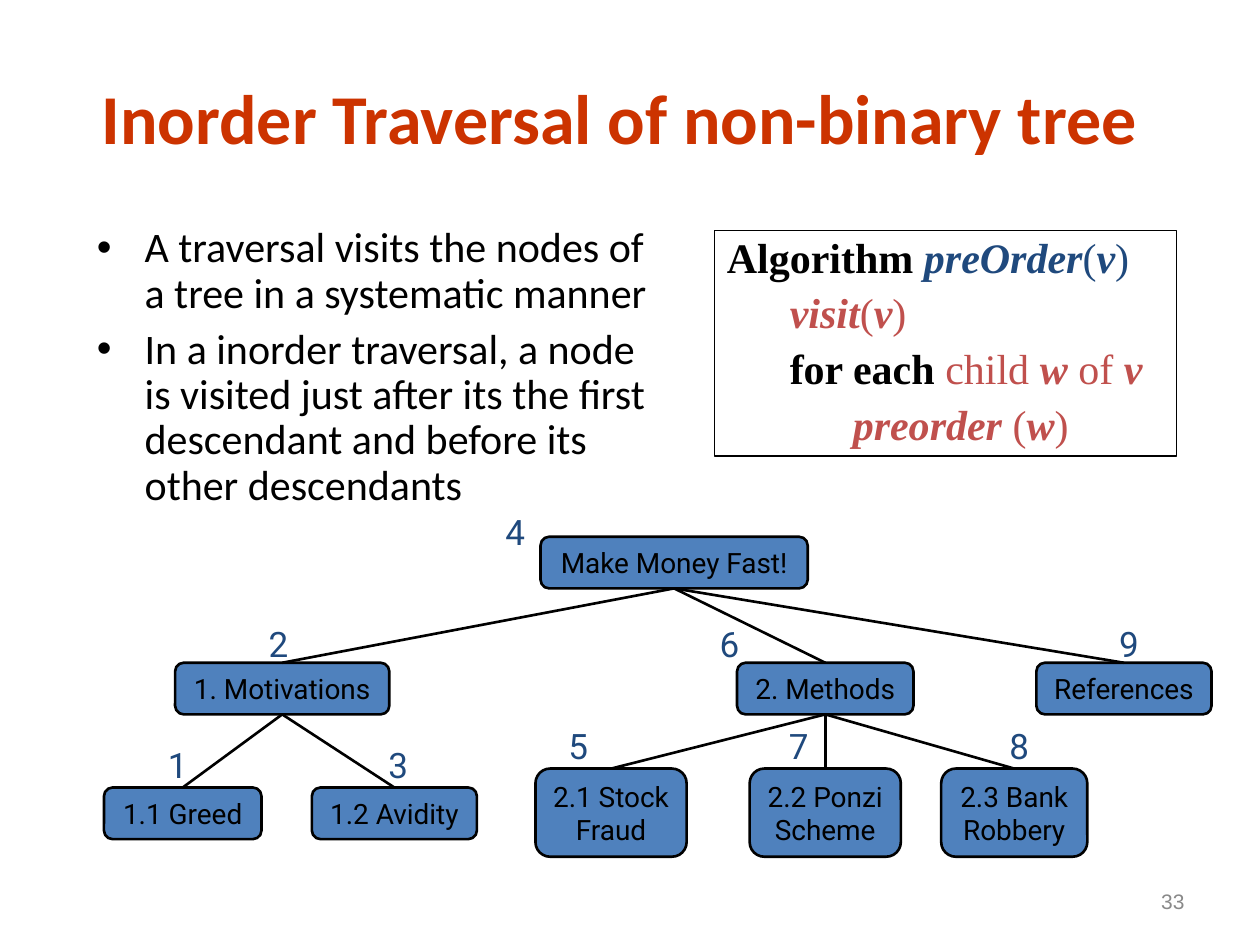
from dataclasses import dataclass
from typing import Optional

from lxml import etree
from pptx import Presentation
from pptx import util as u
from pptx.dml.color import RGBColor
from pptx.enum import shapes, text
from pptx.oxml import ns

BLACK = RGBColor(0x00, 0x00, 0x00)
TITLE_RED = RGBColor(0xCC, 0x33, 0x00)
NODE_BLUE = RGBColor(0x4F, 0x81, 0xBD)
NAVY = RGBColor(0x1F, 0x49, 0x7D)
CODE_RED = RGBColor(0xC0, 0x50, 0x4D)
GREY = RGBColor(0x89, 0x89, 0x89)

# The slide is a grid of 100 columns by 75 rows with square cells
CELL = u.Inches(0.1)
COLUMNS, ROWS = 100, 75


@dataclass(frozen=True)
class Style:
    font: str
    size: int
    color: RGBColor
    bold: bool = False
    italic: bool = False


@dataclass(frozen=True)
class Node:
    label: str
    center: float  # column
    top: float  # row
    width: float
    visit: str = ""  # place in the traversal
    visit_center: float = 0
    visit_top: float = 0
    parent: Optional[str] = None

    @property
    def height(self) -> float:
        return 7 if "\n" in self.label else 4.1


def cells(*counts: float) -> list:
    return [u.Emu(round(count * CELL)) for count in counts]


def code(color: RGBColor, bold: bool = False, italic: bool = False) -> Style:
    return Style("Times New Roman", 24, color, bold, italic)


TITLE = Style("Calibri", 40, TITLE_RED, bold=True)
BODY = Style("Calibri", 24, BLACK)
LABEL = Style("Roboto", 16, BLACK)
VISIT = Style("Roboto", 20, NAVY)
PAGE = Style("Arial", 12, GREY)
KEYWORD = code(BLACK, bold=True)
NAME, NAME_PLAIN = code(NAVY, True, True), code(NAVY)
CALL, CALL_PLAIN = code(CODE_RED, True, True), code(CODE_RED)

BULLETS = [
    "A traversal visits the nodes of a tree in a systematic manner",
    "In a inorder traversal, a node is visited just after its the first "
    "descendant and before its other descendants",
]

# Each line: indent in inches, then its runs
ALGORITHM = [
    (0, [("Algorithm ", KEYWORD), ("preOrder", NAME), ("(", NAME_PLAIN),
         ("v", NAME), (")", NAME_PLAIN)]),
    (0.5, [("visit", CALL), ("(", CALL_PLAIN), ("v", CALL), (")", CALL_PLAIN)]),
    (0.5, [("for each ", KEYWORD), ("child ", CALL_PLAIN), ("w", CALL),
           (" of ", CALL_PLAIN), ("v", CALL)]),
    (0.5, [("\tpreorder", CALL), (" (", CALL_PLAIN), ("w", CALL), (")", CALL_PLAIN)]),
]

ROOT, MOTIVATIONS, METHODS = "Make Money Fast!", "1. Motivations", "2. Methods"
NODES = [
    Node(ROOT, 53.5, 42.6, 21.2, "4", 40.9, 40),
    Node(MOTIVATIONS, 22.4, 52.6, 17, "2", 22.1, 48.9, ROOT),
    Node(METHODS, 65.5, 52.6, 14, "6", 57.9, 48.9, ROOT),
    Node("References", 89.2, 52.6, 13.9, "9", 89.6, 48.9, ROOT),
    Node("1.1 Greed", 14.5, 62.5, 12.5, "1", 14.1, 58.5, MOTIVATIONS),
    Node("1.2 Avidity", 31.3, 62.5, 13.1, "3", 31.6, 58.5, MOTIVATIONS),
    Node("2.1 Stock\nFraud", 48.5, 61, 12, "5", 45.9, 57, METHODS),
    Node("2.2 Ponzi\nScheme", 65.5, 61, 12, "7", 63.4, 57, METHODS),
    Node("2.3 Bank\nRobbery", 80.5, 61, 11.6, "8", 80.9, 57, METHODS),
]


def add_run(paragraph, words: str, style: Style) -> None:
    run = paragraph.add_run()
    run.text = words
    font = run.font
    font.name, font.size = style.font, u.Pt(style.size)
    font.bold, font.italic = style.bold, style.italic
    font.color.rgb = style.color


def fill_line(shape, words: str, style: Style, align, anchor, wrap: bool = False) -> None:
    frame = shape.text_frame
    frame.word_wrap, frame.vertical_anchor = wrap, anchor
    paragraph = frame.paragraphs[0]
    paragraph.alignment = align
    for index, part in enumerate(words.split("\n")):
        if index:
            paragraph.add_line_break()
        add_run(paragraph, part, style)


def add_paragraph(frame, index: int, margin: float, hanging: float = 0):
    paragraph = frame.add_paragraph() if index else frame.paragraphs[0]
    paragraph.alignment = text.PP_ALIGN.LEFT
    paragraph.line_spacing, paragraph.space_before = 0.9, u.Pt(6)
    properties = paragraph._p.get_or_add_pPr()
    properties.set("marL", str(u.Inches(margin)))
    properties.set("indent", str(u.Inches(-hanging)))
    return paragraph, properties


def add_box(slide, kind, left: float, top: float, width: float, height: float,
            line_width: float, fill: Optional[RGBColor] = None):
    shape = slide.shapes.add_shape(kind, *cells(left, top, width, height))
    shape.shadow.inherit = False
    if fill is None:
        shape.fill.background()
    else:
        shape.fill.solid()
        shape.fill.fore_color.rgb = fill
    shape.line.color.rgb, shape.line.width = BLACK, u.Pt(line_width)
    return shape


def add_node(slide, node: Node):
    shape = add_box(slide, shapes.MSO_SHAPE.ROUNDED_RECTANGLE, node.center - node.width / 2,
                    node.top, node.width, node.height, 1.5, NODE_BLUE)
    fill_line(shape, node.label, LABEL, text.PP_ALIGN.CENTER, text.MSO_ANCHOR.MIDDLE)
    return shape


def add_edge(slide, parent, child) -> None:
    edge = slide.shapes.add_connector(shapes.MSO_CONNECTOR.STRAIGHT, 0, 0, 0, 0)
    edge.begin_connect(parent, 2)  # bottom of the parent
    edge.end_connect(child, 0)  # top of the child
    edge.line.color.rgb, edge.line.width = BLACK, u.Pt(1.5)
    etree.SubElement(edge._element.spPr, ns.qn("a:effectLst"))


def main() -> None:
    presentation = Presentation()
    presentation.slide_width, presentation.slide_height = cells(COLUMNS, ROWS)
    slide = presentation.slides.add_slide(presentation.slide_layouts[5])

    # Title
    title = slide.shapes.title
    title.left, title.top, title.width, title.height = cells(5, 5.4, 88.3, 7.7)
    fill_line(title, "Inorder Traversal of non-binary tree", TITLE,
              text.PP_ALIGN.CENTER, text.MSO_ANCHOR.MIDDLE, wrap=True)

    # Bullets
    frame = slide.shapes.add_textbox(*cells(6.7, 17.5, 46.7, 25)).text_frame
    frame.word_wrap = True
    for index, words in enumerate(BULLETS):
        paragraph, properties = add_paragraph(frame, index, 0.38, 0.38)
        etree.SubElement(properties, ns.qn("a:buFont"), typeface="Arial")
        etree.SubElement(properties, ns.qn("a:buChar"), char="•")
        add_run(paragraph, words, BODY)

    # Tree: nodes, edges, then the visiting order
    drawn = {node.label: add_node(slide, node) for node in NODES}
    for node in NODES:
        if node.parent:
            add_edge(slide, drawn[node.parent], drawn[node.label])
    for node in NODES:
        number = slide.shapes.add_textbox(
            *cells(node.visit_center - 1.8, node.visit_top, 3.6, 4.4))
        fill_line(number, node.visit, VISIT, text.PP_ALIGN.CENTER, text.MSO_ANCHOR.TOP)

    # Algorithm
    box = add_box(slide, shapes.MSO_SHAPE.RECTANGLE, 56.7, 18.3, 36.7, 17.9, 0.75)
    frame = box.text_frame
    frame.word_wrap, frame.vertical_anchor = True, text.MSO_ANCHOR.TOP
    for index, (margin, runs) in enumerate(ALGORITHM):
        paragraph, properties = add_paragraph(frame, index, margin)
        tabs = etree.SubElement(properties, ns.qn("a:tabLst"))
        etree.SubElement(tabs, ns.qn("a:tab"), pos=str(u.Inches(1)), algn="l")
        for words, style in runs:
            add_run(paragraph, words, style)

    # Slide number
    page = slide.shapes.add_textbox(*cells(71.7, 69.5, 23.3, 4))
    fill_line(page, "33", PAGE, text.PP_ALIGN.RIGHT, text.MSO_ANCHOR.MIDDLE, wrap=True)

    presentation.save("out.pptx")


if __name__ == "__main__":
    main()
